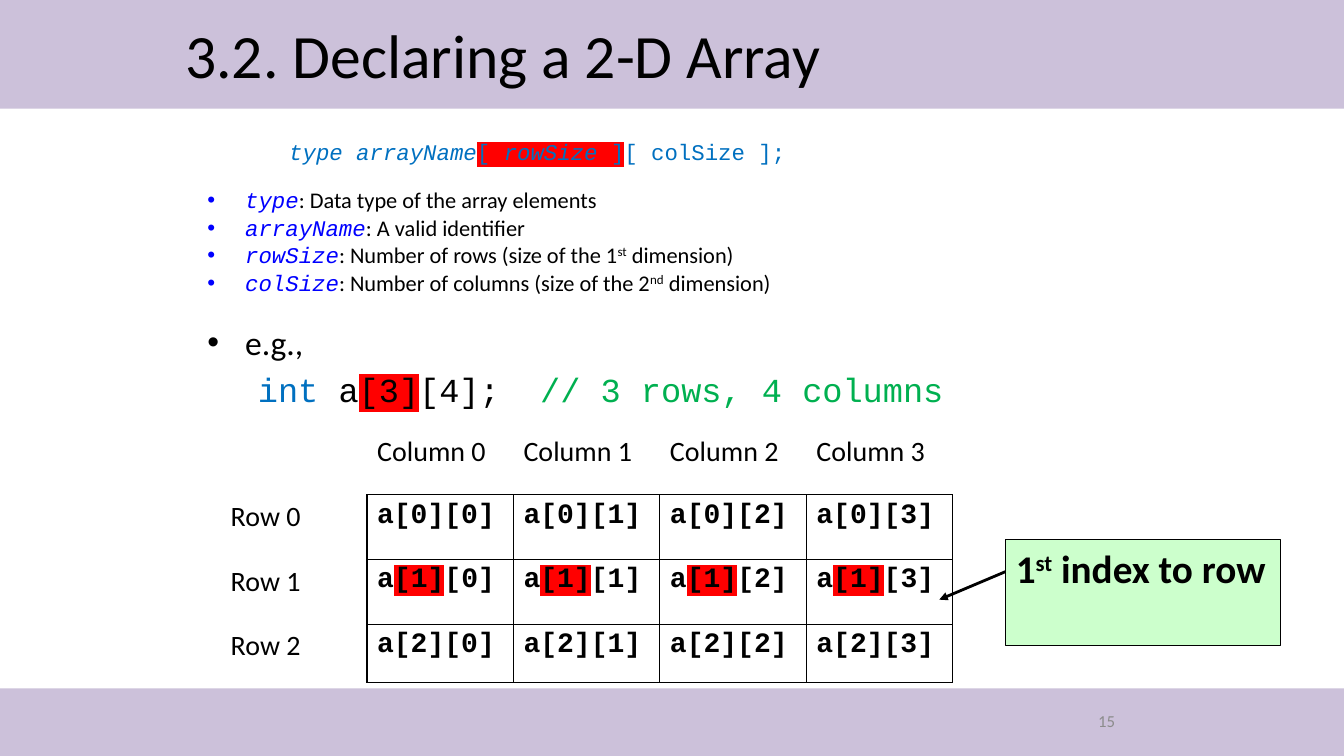
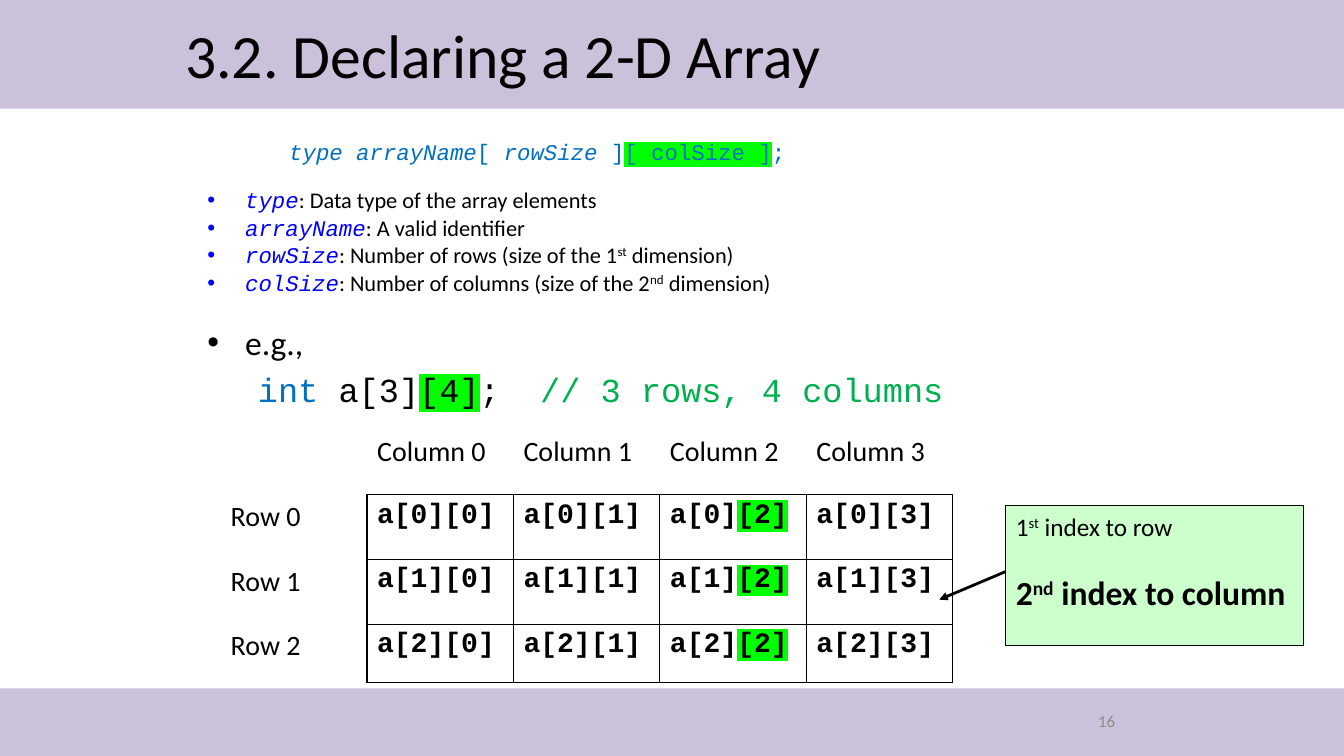
"""Build two slides on declaring a 2-D array."""
from dataclasses import dataclass

from lxml import etree
from pptx import Presentation
from pptx import util as u
from pptx.dml.color import RGBColor
from pptx.enum import shapes, text
from pptx.oxml import ns

Cm, Pt = u.Cm, u.Pt


@dataclass(frozen=True)
class Theme:
    body_font: str = "Calibri"
    code_font: str = "Courier New"
    ink: str = "000000"
    band: str = "CCC1DA"
    muted: str = "8C8C8C"
    code: str = "0070C0"
    term: str = "0000FF"
    comment: str = "00B050"
    callout: str = "CCFFCC"
    row_mark: str = "FF0000"
    column_mark: str = "00FF00"
    title_size: int = 44
    strong_size: int = 28
    large_size: int = 24
    table_size: int = 20
    note_size: int = 18
    small_size: int = 16
    footer_size: int = 12


THEME = Theme()


@dataclass(frozen=True)
class Span:
    text: str
    size: int
    color: str = THEME.ink
    font: str = THEME.body_font
    bold: bool = False
    italic: bool = False
    mark: str = ""
    raised: bool = False


def child(parent, tag, **attributes):
    return etree.SubElement(parent, ns.qn(tag), attributes)


def solid(parent, color):
    child(child(parent, "a:solidFill"), "a:srgbClr", val=color)


def code(words, size, color=THEME.ink, **style):
    return Span(words, size, color, THEME.code_font, **style)


def ordinal(number, suffix, rest, size, bold=False):
    return [Span(number, size, bold=bold), Span(suffix, size, bold=bold, raised=True),
            Span(rest, size, bold=bold)]


class Deck:
    def __init__(self):
        self.deck = Presentation()
        self.deck.slide_width, self.deck.slide_height = Cm(33.87), Cm(19.05)
        self.page = None

    def add_page(self, title, number):
        self.page = self.deck.slides.add_slide(self.deck.slide_layouts[6])
        for top, height in ((0, 2.74), (17.35, 1.7)):
            self.panel(0, top, 33.87, height, THEME.band)
        middle = text.MSO_ANCHOR.MIDDLE
        heading = self.text_box(4.42, 0.2, 24.79, 2.34, middle)
        self.add_spans(heading.paragraphs[0], [Span(title, THEME.title_size)])
        footer = self.text_box(22.43, 17.65, 5.92, 1.02, middle)
        footer.paragraphs[0].alignment = text.PP_ALIGN.RIGHT
        self.add_spans(footer.paragraphs[0], [Span(str(number), THEME.footer_size, THEME.muted)])

    def panel(self, left, top, width, height, fill, outline=None):
        box = self.page.shapes.add_shape(
            shapes.MSO_SHAPE.RECTANGLE, Cm(left), Cm(top), Cm(width), Cm(height))
        box.shadow.inherit = False
        box.fill.solid()
        box.fill.fore_color.rgb = RGBColor.from_string(fill)
        if outline:
            box.line.color.rgb = RGBColor.from_string(outline)
            box.line.width = Pt(0.75)
        else:
            box.line.fill.background()
        return box

    def text_box(self, left, top, width, height, anchor=text.MSO_ANCHOR.TOP):
        frame = self.page.shapes.add_textbox(Cm(left), Cm(top), Cm(width), Cm(height)).text_frame
        frame.word_wrap = True
        frame.vertical_anchor = anchor
        return frame

    def add_spans(self, para, spans):
        for span in spans:
            run = para.add_run()
            run.text = span.text
            run.font.size = Pt(span.size)
            run.font.bold, run.font.italic = span.bold, span.italic
            run.font.color.rgb = RGBColor.from_string(span.color)
            properties = run._r.get_or_add_rPr()
            if span.mark:
                child(child(properties, "a:highlight"), "a:srgbClr", val=span.mark)
            if span.raised:
                properties.set("baseline", "30000")
            run.font.name = span.font

    def body(self, left, top, width, height, lines):
        frame = self.text_box(left, top, width, height)
        for index, (spans, before, margin, indent, bullet) in enumerate(lines):
            para = frame.add_paragraph() if index else frame.paragraphs[0]
            properties = para._p.get_or_add_pPr()
            properties.set("marL", str(Cm(margin)))
            properties.set("indent", str(Cm(indent)))
            if bullet:
                child(child(properties, "a:buClr"), "a:srgbClr", val=bullet)
                child(properties, "a:buFont", typeface="Arial")
                child(properties, "a:buChar", char="•")
            para.line_spacing = 0.9
            if before:
                para.space_before = Pt(before)
            self.add_spans(para, spans)

    def table(self, left, top, column_width, heights, rows):
        columns = len(rows[0])
        grid = self.page.shapes.add_table(
            len(rows), columns, Cm(left), Cm(top),
            Cm(column_width * columns), Cm(sum(heights))).table
        grid.first_row = grid.horz_banding = False
        style = grid._tbl.tblPr.find(ns.qn("a:tableStyleId"))
        style.text = "{2D5ABB26-0587-4C30-8999-92F81FD0307C}"
        for column in grid.columns:
            column.width = Cm(column_width)
        for r, (height, row) in enumerate(zip(heights, rows)):
            grid.rows[r].height = Cm(height)
            for c, spans in enumerate(row):
                cell = grid.cell(r, c)
                sides = "LRTB" if r and c else "R" if r else "B" if c else ""
                self.borders(cell, sides)
                cell.fill.background()
                self.add_spans(cell.text_frame.paragraphs[0], spans)

    def borders(self, cell, sides):
        properties = cell._tc.get_or_add_tcPr()
        for side in "LRTB":
            if side in sides:
                solid(child(properties, f"a:ln{side}", w=str(Pt(1))), THEME.ink)
            else:
                child(child(properties, f"a:ln{side}", w="0"), "a:noFill")

    def arrow(self, start, end):
        points = [Cm(value) for value in (*start, *end)]
        line = self.page.shapes.add_connector(shapes.MSO_CONNECTOR.STRAIGHT, *points)
        line.line.color.rgb = RGBColor.from_string(THEME.ink)
        line.line.width = Pt(2)
        child(line.line._get_or_add_ln(), "a:tailEnd", type="triangle")
        child(line._element.spPr, "a:effectLst")

    def callout(self, left, top, width, height, lines):
        frame = self.panel(left, top, width, height, THEME.callout, THEME.ink).text_frame
        frame.word_wrap = True
        frame.vertical_anchor = text.MSO_ANCHOR.TOP
        for index, spans in enumerate(lines):
            para = frame.add_paragraph() if index else frame.paragraphs[0]
            para.alignment = text.PP_ALIGN.LEFT
            if index:
                para.space_before = Pt(22)
            self.add_spans(para, spans)


def declaration_lines(row_mark, column_mark):
    small, large = THEME.small_size, THEME.large_size
    syntax = [
        code("type arrayName", small, THEME.code, italic=True),
        code("[ ", small, THEME.code, mark=row_mark),
        code("rowSize ", small, THEME.code, italic=True, mark=row_mark),
        code("]", small, THEME.code, mark=row_mark),
        code("[ colSize ]", small, THEME.code, mark=column_mark),
        code(";", small, THEME.code),
    ]
    terms = [
        ("type", [Span(": Data type of the array elements", small)]),
        ("arrayName", [Span(": A valid identifier", small)]),
        ("rowSize", ordinal(": Number of rows (size of the 1", "st", " dimension)", small)),
        ("colSize", ordinal(": Number of columns (size of the 2", "nd", " dimension)", small)),
    ]
    example = [
        code("int", large, THEME.code), code(" a", large),
        code("[3]", large, mark=row_mark), code("[4]", large, mark=column_mark),
        code(";  ", large), code("// 3 rows, 4 columns", large, THEME.comment),
    ]
    lines = [(syntax, 0, 2.06, 0, None)]
    for index, (term, meaning) in enumerate(terms):
        spans = [code(term, small, THEME.term, italic=True), *meaning]
        lines.append((spans, 2.5 if index else 17, 0.95, -0.95, THEME.term))
    lines.append(([Span("e.g.,", large)], 21.5, 0.95, -0.95, THEME.ink))
    lines.append((example, 7.5, 2.06, -0.79, None))
    return lines


def element_rows(row_mark, column_mark):
    size = THEME.table_size
    rows = [[[]] + [[Span(f"Column {c}", size)] for c in range(4)]]
    for r in range(3):
        cells = [[Span(f"Row {r}", size)]]
        for c in range(4):
            cells.append([
                code("a", size, bold=True),
                code(f"[{r}]", size, bold=True, mark=row_mark if r == 1 else ""),
                code(f"[{c}]", size, bold=True, mark=column_mark if c == 2 else ""),
            ])
        rows.append(cells)
    return rows


def main():
    first = ordinal("1", "st", " index to row", THEME.strong_size, True)
    both = [ordinal("1", "st", " index to row", THEME.note_size),
            ordinal("2", "nd", " index to column", THEME.large_size, True)]
    pages = [
        (15, (THEME.row_mark, ""), (25.35, 13.59, 6.93, 2.67), [first]),
        (16, ("", THEME.column_mark), (25.35, 12.75, 7.49, 3.51), both),
    ]
    slides = Deck()
    for number, marks, place, notes in pages:
        slides.add_page("3.2. Declaring a 2-D Array", number)
        slides.body(4.98, 3.43, 24.56, 8.8, declaration_lines(*marks))
        slides.table(5.56, 10.82, 3.69, (1.65, 1.63, 1.63, 1.47), element_rows(*marks))
        slides.arrow((25.35, 14.4), (23.67, 15.11))
        slides.callout(*place, notes)
    slides.deck.save("out.pptx")


if __name__ == "__main__":
    main()
